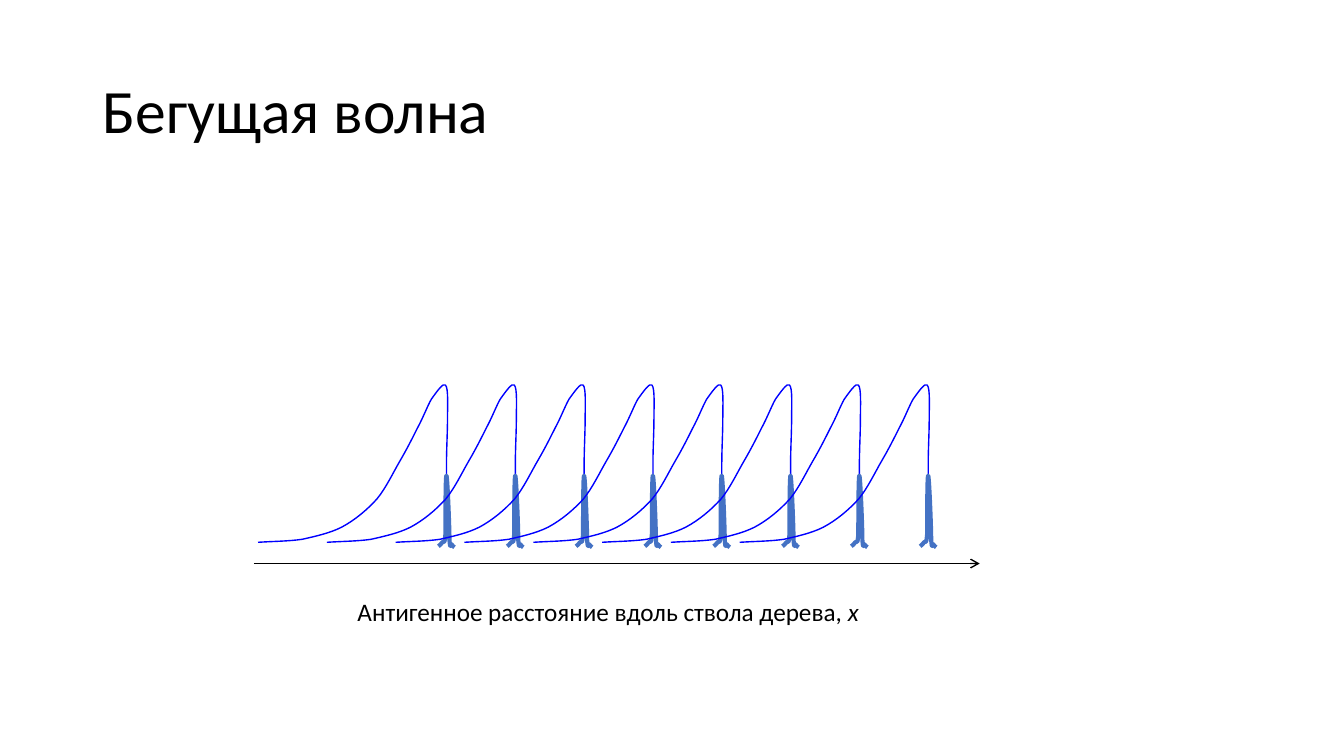
"""Build the slide «Бегущая волна»: a travelling wave drawn as eight equally shifted profiles."""
from lxml.etree import SubElement
from pptx import Presentation
from pptx.dml.color import RGBColor
from pptx.enum.shapes import MSO_CONNECTOR as Connector
from pptx.enum.text import MSO_ANCHOR as Anchor, MSO_AUTO_SIZE as AutoSize
from pptx.oxml.ns import qn
from pptx.util import Cm, Pt

COLORS = {"text": "000000", "wave": "0000FF", "trunk": "4472C4"}
INCH = Cm(2.54)
WAVE_COUNT = 8
WAVE_STEP = Cm(12.14) / (WAVE_COUNT - 1)

WAVE = [
    (2.56, 5.38), (2.71, 5.37), (2.86, 5.37), (3, 5.35),
    (3.13, 5.32), (3.27, 5.29), (3.39, 5.23),
    (3.52, 5.16), (3.64, 5.06), (3.74, 4.95),
    (3.83, 4.84), (3.9, 4.69), (3.97, 4.57),
    (4.04, 4.45), (4.09, 4.35), (4.14, 4.25),
    (4.2, 4.14), (4.24, 4.03), (4.28, 3.96),
    (4.33, 3.89), (4.4, 3.79), (4.42, 3.82),
    (4.45, 3.85), (4.44, 4.03), (4.44, 4.16),
    (4.44, 4.29), (4.43, 4.46), (4.43, 4.59),
    (4.43, 4.72), (4.43, 4.83), (4.43, 4.96),
    (4.43, 5.09), (4.42, 5.31), (4.42, 5.38),
]
TRUNK = [
    (4.35, 5.42), (4.36, 5.41), (4.38, 5.4), (4.39, 5.38),
    (4.41, 5.36), (4.41, 5.41), (4.42, 5.3),
    (4.42, 5.19), (4.42, 4.71), (4.43, 4.72),
    (4.44, 4.73), (4.46, 5.24), (4.46, 5.36),
    (4.47, 5.47), (4.47, 5.39), (4.48, 5.4),
    (4.48, 5.41), (4.51, 5.43), (4.51, 5.43),
]


def add_text(slide, box, runs, size, frame_format, line_spacing):
    """Add a text box of one paragraph; each run is a text and its italic flag."""
    frame = slide.shapes.add_textbox(*map(Cm, box)).text_frame
    for name, value in frame_format.items():
        setattr(frame, name, value)
    paragraph = frame.paragraphs[0]
    paragraph.line_spacing = line_spacing
    for text, italic in runs:
        run = paragraph.add_run()
        run.text = text
        for name, value in {"name": "Calibri", "size": Pt(size), "italic": italic}.items():
            setattr(run.font, name, value)
        run.font.color.rgb = RGBColor.from_string(COLORS["text"])


def add_curve(shapes, controls, shift, color, width):
    """Draw a chain of cubic Bézier segments, three control points each, as an open outline."""
    points = [(x * INCH + shift, y * INCH) for x, y in controls]
    builder = shapes.build_freeform(*points[0])
    builder.add_line_segments(points[1:], close=False)
    shape = builder.convert_to_shape()
    outline = next(shape._element.iter(qn("a:path")))
    segments = outline.findall(qn("a:lnTo"))
    for first in range(0, len(segments), 3):
        curve = SubElement(outline, qn("a:cubicBezTo"))
        for segment in segments[first:first + 3]:
            curve.append(segment[0])
            outline.remove(segment)
    shape.shadow.inherit = False
    shape.fill.background()
    shape.line.color.rgb = RGBColor.from_string(COLORS[color])
    shape.line.width = Pt(width)


presentation = Presentation()
presentation.slide_width = Cm(33.87)
presentation.slide_height = Cm(19.05)
slide = presentation.slides.add_slide(presentation.slide_layouts[6])

add_text(slide, (2.33, 1.01, 29.21, 3.68), [("Бегущая волна", False)], 44,
         {"word_wrap": True, "vertical_anchor": Anchor.MIDDLE}, 0.9)

axis = slide.shapes.add_connector(Connector.STRAIGHT, Cm(6.4), Cm(14.2), Cm(24.69), Cm(14.2))
axis.line.color.rgb = RGBColor.from_string(COLORS["text"])
axis.line.width = Pt(1)
SubElement(axis.line._get_or_add_ln(), qn("a:tailEnd"), type="arrow")
SubElement(axis._element.spPr, qn("a:effectLst"))

add_text(slide, (8.76, 14.91, 13.28, 1.02),
         [("Антигенное расстояние вдоль ствола дерева, ", False), ("x", True)], 18,
         {"word_wrap": False, "auto_size": AutoSize.SHAPE_TO_FIT_TEXT}, 1.0)

for index in range(WAVE_COUNT):
    group = slide.shapes.add_group_shape()
    add_curve(group.shapes, WAVE, index * WAVE_STEP, "wave", 1)
    add_curve(group.shapes, TRUNK, index * WAVE_STEP, "trunk", 3)

presentation.save("out.pptx")
